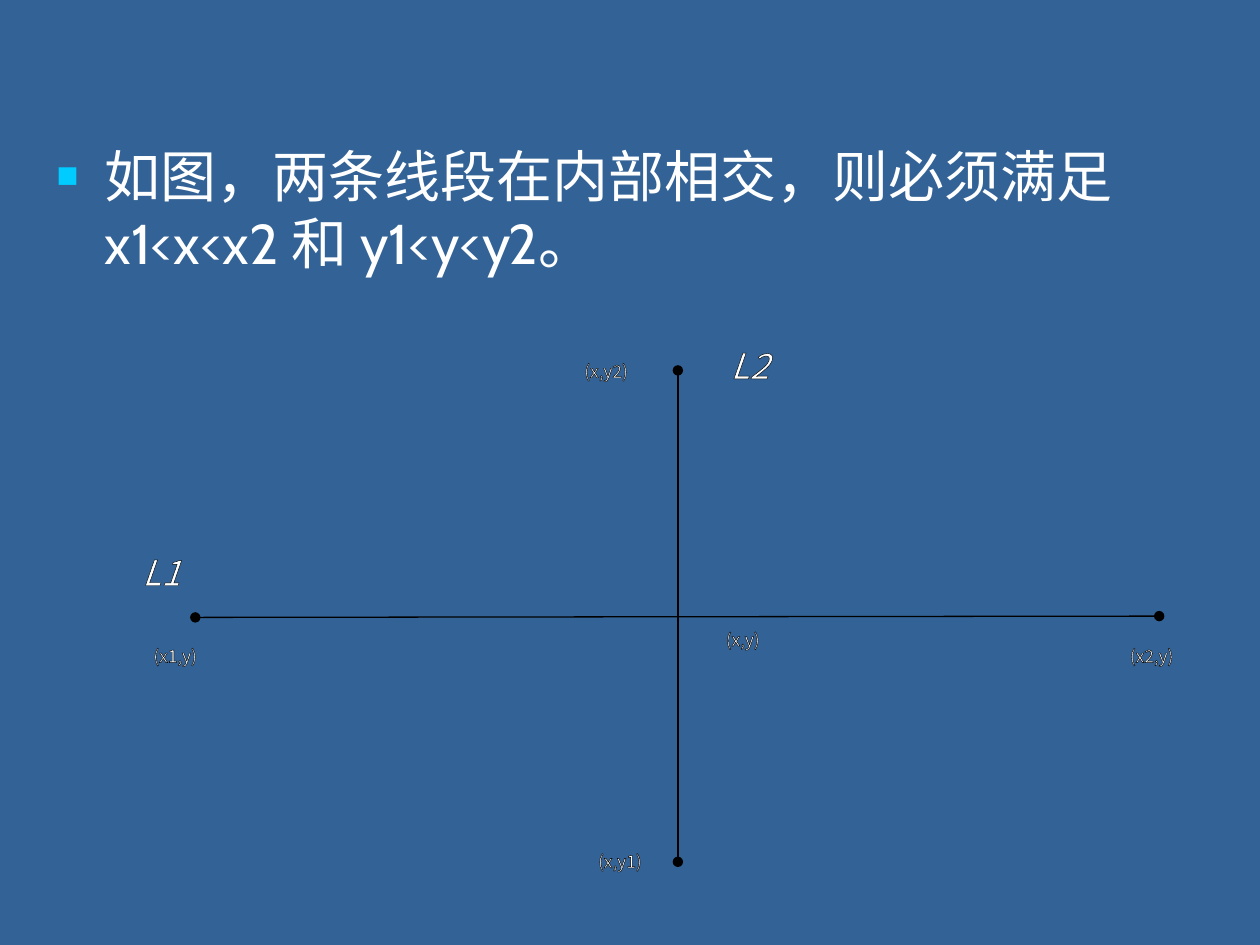
from lxml.etree import SubElement
from pptx import Presentation
from pptx.dml.color import RGBColor as RGB
from pptx.enum.shapes import MSO_CONNECTOR as CONN
from pptx.enum.text import MSO_ANCHOR as ANCHOR, MSO_AUTO_SIZE as AUTO, PP_ALIGN as ALIGN
from pptx.oxml import parse_xml
from pptx.oxml.ns import nsdecls, qn
from pptx.util import Inches, Pt

COLORS = {"bg": "326296", "text": "FFFFFF", "line": "000000", "bullet": "00CCFF"}
BODY_FONT = "Cabin"
LABEL_FONT = "Noto Sans CJK SC"
POINT_SIZE = (0.68, 0.25)
NAME_SIZE = (0.46, 0.33)


def rgb(name):
    return RGB.from_string(COLORS[name])


class Deck:
    line_width = 0.75

    def __init__(self, prs):
        self.s = prs.slides.add_slide(prs.slide_layouts[1])
        fill = self.s.background.fill
        fill.solid()
        fill.fore_color.rgb = rgb("bg")
        title = self.s.shapes.title
        title.element.getparent().remove(title.element)

    def run(self, p, text, size, font, italic=False):
        r = p.add_run()
        r.text = text
        r.font.size = Pt(size)
        r.font.name = font
        r.font.italic = italic
        r.font.color.rgb = rgb("text")
        SubElement(r.font._element, qn("a:ea"), typeface=font)
        return r

    def body(self, text, x, y, w, h):
        sp = self.s.placeholders[1]
        sp.left, sp.top, sp.width, sp.height = map(Inches, (x, y, w, h))
        tf = sp.text_frame
        tf.auto_size = AUTO.NONE
        tf.vertical_anchor = ANCHOR.TOP
        p = tf.paragraphs[0]
        p.alignment = ALIGN.LEFT
        p.space_before = Pt(8)
        pPr = p._p.get_or_add_pPr()
        pPr.set("marL", str(Inches(0.38)))
        pPr.set("indent", str(Inches(-0.38)))
        color = SubElement(pPr, qn("a:buClr"))
        SubElement(color, qn("a:srgbClr"), val=COLORS["bullet"])
        SubElement(pPr, qn("a:buSzPct"), val="65000")
        SubElement(pPr, qn("a:buFont"), typeface="Arial")
        SubElement(pPr, qn("a:buChar"), char="■")
        self.run(p, text, 32, BODY_FONT)

    def segment(self, x1, y1, x2, y2):
        c = self.s.shapes.add_connector(CONN.STRAIGHT, *map(Inches, (x1, y1, x2, y2)))
        c.line.color.rgb = rgb("line")
        c.line.width = Pt(self.line_width)
        ln = c.line._get_or_add_ln()
        for end in ("a:headEnd", "a:tailEnd"):
            SubElement(ln, qn(end), type="oval")
        SubElement(c._element.spPr, qn("a:effectLst"))

    def label(self, text, x, y, w, h, size=10, italic=False):
        sp = self.s.shapes.add_textbox(*map(Inches, (x, y, w, h)))
        tf = sp.text_frame
        tf.word_wrap = False
        tf.margin_left = tf.margin_right = 0
        p = tf.paragraphs[0]
        p.alignment = ALIGN.CENTER
        r = self.run(p, text, size, LABEL_FONT, italic)
        outline = parse_xml(
            f'<a:ln {nsdecls("a")} w="{Pt(self.line_width)}"><a:solidFill>'
            f'<a:srgbClr val="{COLORS["line"]}"/></a:solidFill></a:ln>')
        r.font._element.insert(0, outline)


def main():
    prs = Presentation()
    prs.slide_width, prs.slide_height = Inches(10), Inches(7.5)
    deck = Deck(prs)
    deck.body("如图，两条线段在内部相交，则必须满足x1<x<x2 和 y1<y<y2。", 0.35, 1.07, 9, 1.81)

    deck.segment(1.55, 4.9, 9.2, 4.89)
    deck.segment(5.38, 2.94, 5.38, 6.84)

    for text, x, y in [("(x1,y)", 1.05, 5.07), ("(x2,y)", 8.8, 5.07),
                       ("(x,y2)", 4.47, 2.81), ("(x,y1)", 4.58, 6.7)]:
        deck.label(text, x, y, *POINT_SIZE)
    deck.label("(x,y)", 5.61, 4.94, 0.57, 0.31)
    for text, x, y in [("L1", 1.05, 4.32), ("L2", 5.72, 2.68)]:
        deck.label(text, x, y, *NAME_SIZE, size=20, italic=True)

    prs.save("out.pptx")


if __name__ == "__main__":
    main()
